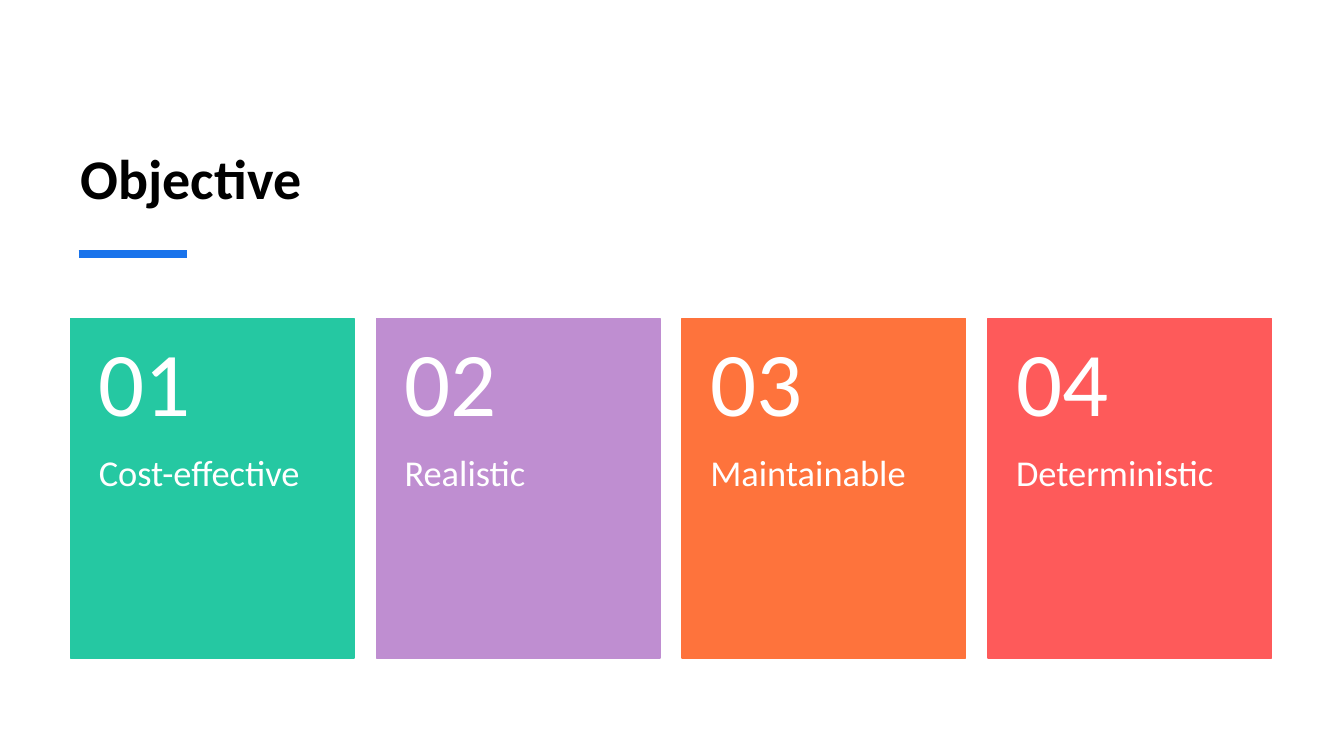
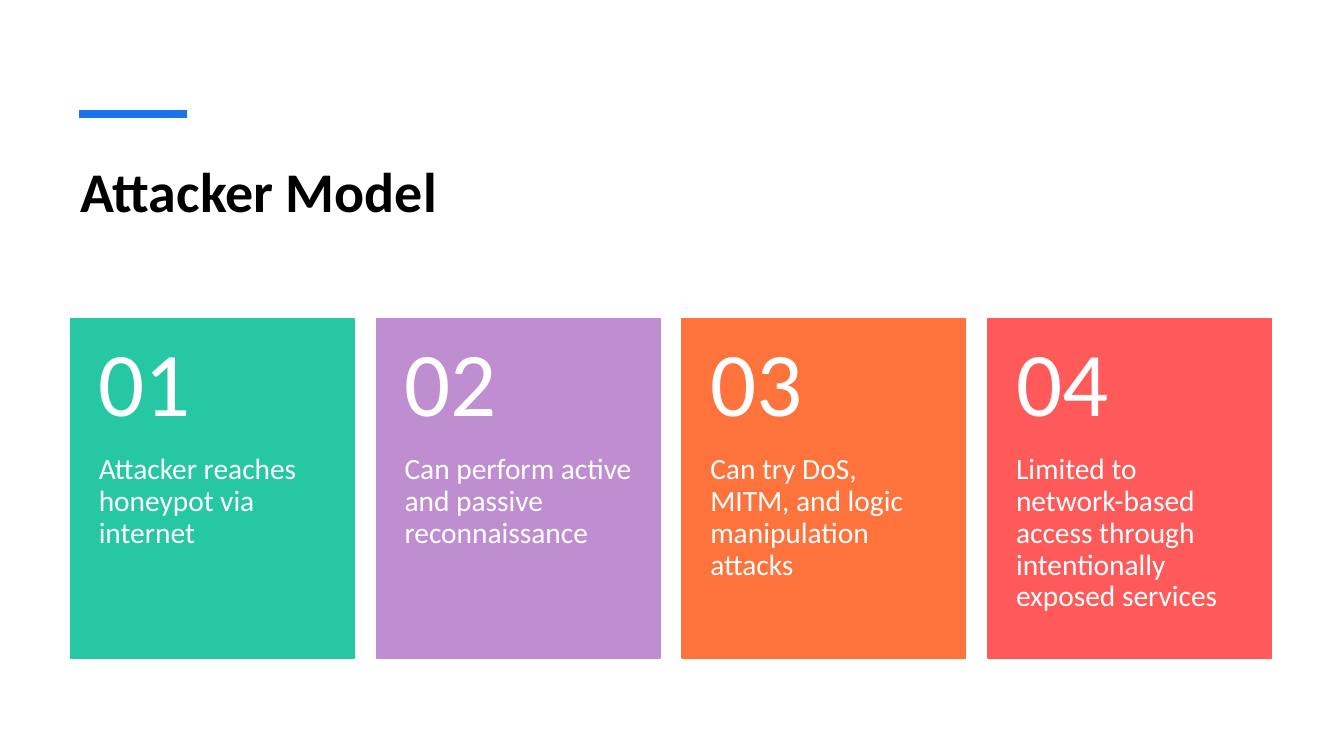
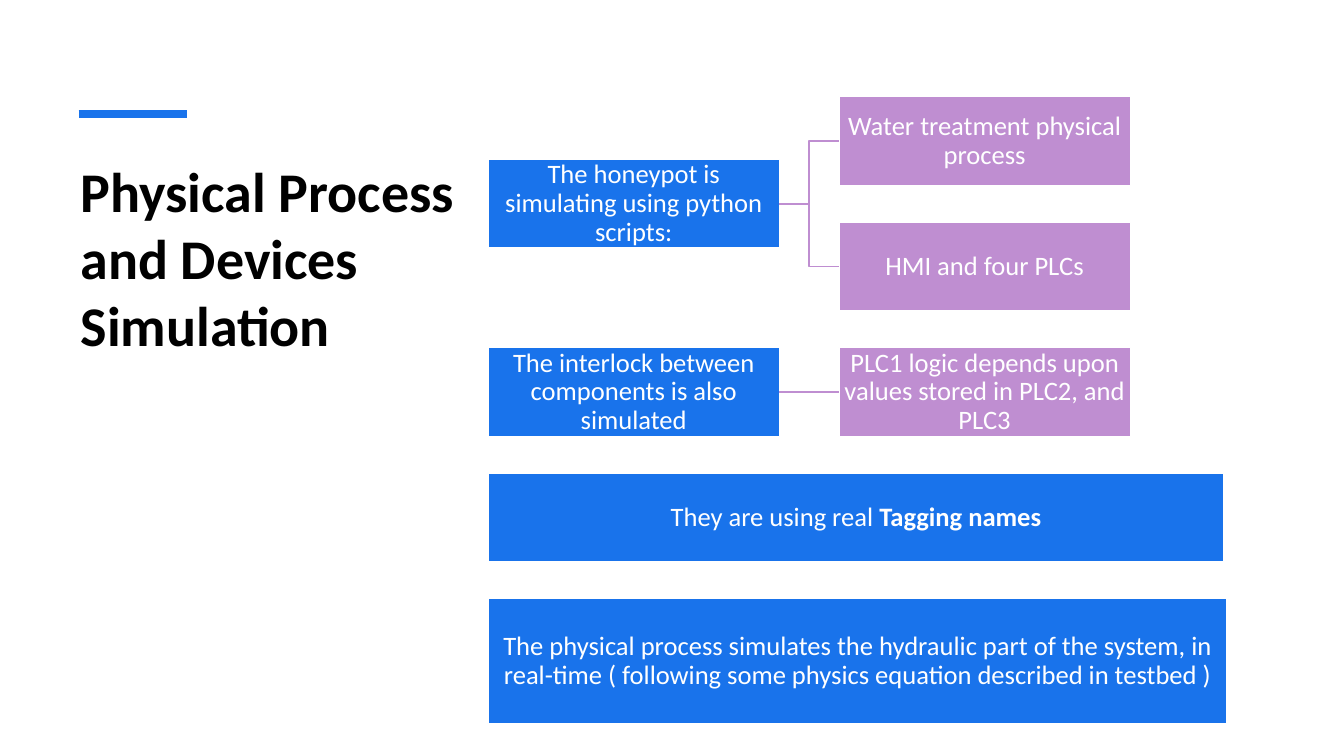
from lxml import etree
from pptx import Presentation
from pptx.dml.color import RGBColor
from pptx.enum.shapes import MSO_CONNECTOR, MSO_SHAPE
from pptx.enum.text import MSO_ANCHOR, MSO_AUTO_SIZE, PP_ALIGN
from pptx.oxml.ns import qn
from pptx.util import Inches, Pt

RECT = MSO_SHAPE.RECTANGLE
STRAIGHT, ELBOW = MSO_CONNECTOR.STRAIGHT, MSO_CONNECTOR.ELBOW
TOP, MIDDLE, BOTTOM = MSO_ANCHOR.TOP, MSO_ANCHOR.MIDDLE, MSO_ANCHOR.BOTTOM
LEFT, CENTER = PP_ALIGN.LEFT, PP_ALIGN.CENTER
NO_FIT = MSO_AUTO_SIZE.NONE
LEFT_SITE, RIGHT_SITE = 1, 3
TITLE_ONLY = 5

FONT = "Calibri"
BLACK, WHITE, BLUE, GREEN = "000000", "FFFFFF", "1973EB", "25C8A2"
PURPLE, ORANGE, RED = "BF8ED1", "FE733C", "FE5A5A"
CARD_COLORS = [GREEN, PURPLE, ORANGE, RED]
MARGIN, CONTENT_W = 0.7, 11.91
CARDS_BOX = (MARGIN, 3.16, CONTENT_W, 3.37)
TREE_BOX = (4.84, 0.96, 7.33, 6.22)


def rgb(color):
    return RGBColor.from_string(color)


def inches(*lengths):
    return [Inches(v) for v in lengths]


def write(sp, runs, size, color=WHITE, bold=False, align=LEFT, anchor=TOP,
          insets=(0.1, 0.05, 0.1, 0.05), spacing=1.0):
    """Fill a shape with one paragraph of (text, bold) runs or a plain string."""
    tf = sp.text_frame
    tf.word_wrap = True
    tf.auto_size = NO_FIT
    tf.vertical_anchor = anchor
    tf.margin_left, tf.margin_top, tf.margin_right, tf.margin_bottom = inches(*insets)
    p = tf.paragraphs[0]
    p.alignment, p.line_spacing = align, spacing
    p.font.name, p.font.size = FONT, Pt(size)
    p.font.bold, p.font.color.rgb = bold, rgb(color)
    if isinstance(runs, str):
        runs = [(runs, bold)]
    for text, run_bold in runs:
        r = p.add_run()
        r.text = text
        if run_bold != bold:
            r.font.bold = run_bold


def add_rect(s, box, fill, line):
    sp = s.shapes.add_shape(RECT, *inches(*box))
    sp.shadow.inherit = False
    sp.fill.solid()
    sp.fill.fore_color.rgb = rgb(fill)
    sp.line.color.rgb = rgb(line)
    sp.line.width = Pt(1)
    return sp


def add_line(s, kind, ends, color, width):
    line = s.shapes.add_connector(kind, *inches(*ends))
    line.line.color.rgb = rgb(color)
    line.line.width = Pt(width)
    etree.SubElement(line._element.spPr, qn("a:effectLst"))
    return line


def add_titled_slide(prs, title, box, accent_y, anchor=TOP):
    s = prs.slides.add_slide(prs.slide_layouts[TITLE_ONLY])
    sp = s.shapes.title
    sp.left, sp.top, sp.width, sp.height = inches(*box)
    write(sp, title, 40, BLACK, bold=True, anchor=anchor)
    add_line(s, STRAIGHT, (0.78, accent_y, 1.85, accent_y), BLUE, 6)
    return s


def add_cards(s, box, labels, size):
    """Lay out numbered cards in equal columns."""
    x, y, w, h = box
    gap, number_h, pad = 0.22, 1.35, 0.28
    card_w = (w - gap * (len(labels) - 1)) / len(labels)
    for i, (label, color) in enumerate(zip(labels, CARD_COLORS)):
        card_x = x + i * (card_w + gap)
        add_rect(s, (card_x, y, card_w, h), color, color)
        label_box = s.shapes.add_textbox(
            *inches(card_x, y + number_h, card_w, h - number_h))
        write(label_box, label, size, insets=(pad, 0, pad, 0.36), spacing=0.9)
        number_box = s.shapes.add_textbox(*inches(card_x, y, card_w, number_h))
        write(number_box, f"{i + 1:02}", 65, anchor=MIDDLE,
              insets=(pad, 0.18, pad, 0.18), spacing=0.9)


def add_tree(s, box, branches, statements):
    """Stack branches (parent, children), then full-width statements."""
    x, y, w, h = box
    node_w, node_h, node_gap, last_h = 2.89, 0.88, 0.59, 1.24
    rows = sum(len(children) for _, children in branches) + len(statements)
    step = (h - last_h) / (rows - 1)

    def add_node(runs, node_x, row, fill, width=node_w, height=node_h):
        sp = add_rect(s, (node_x, y + row * step, width, height), fill, WHITE)
        write(sp, runs, 19, align=CENTER, anchor=MIDDLE, insets=(0.01,) * 4, spacing=0.9)
        return sp

    row = 0
    for parent, children in branches:
        root = add_node(parent, x, row + (len(children) - 1) / 2, BLUE)
        kind = ELBOW if len(children) > 1 else STRAIGHT
        for child in children:
            leaf = add_node(child, x + node_w + node_gap, row, PURPLE)
            link = add_line(s, kind, (0, 0, 0, 0), PURPLE, 1)
            link.begin_connect(root, RIGHT_SITE)
            link.end_connect(leaf, LEFT_SITE)
            row += 1
    for runs in statements:
        is_last = row == rows - 1
        add_node(runs, x, row, BLUE, w if is_last else w - 0.03,
                 last_h if is_last else node_h)
        row += 1


def main():
    prs = Presentation()
    prs.slide_width, prs.slide_height = inches(13.33, 7.5)

    s = add_titled_slide(prs, "Objective", (MARGIN, 0.62, CONTENT_W, 1.52), 2.52, BOTTOM)
    add_cards(s, CARDS_BOX,
              ["Cost-effective", "Realistic", "Maintainable", "Deterministic"], 26)

    s = add_titled_slide(prs, "Attacker Model", (MARGIN, 1.5, CONTENT_W, 1.2), 1.13)
    add_cards(s, CARDS_BOX, [
        "Attacker reaches honeypot via internet",
        "Can perform active and passive reconnaissance",
        "Can try DoS, MITM, and logic manipulation attacks",
        "Limited to network-based access through intentionally exposed services",
    ], 21)

    s = add_titled_slide(prs, "Physical Process and Devices Simulation",
                         (MARGIN, 1.5, 4.02, 4.29), 1.13)
    add_tree(s, TREE_BOX, [
        ("The honeypot is simulating using python scripts:",
         ["Water treatment physical process", "HMI and four PLCs"]),
        ("The interlock between components is also simulated",
         ["PLC1 logic depends upon values stored in PLC2, and PLC3"]),
    ], [
        [("They are using real ", False), ("Tagging names", True)],
        "The physical process simulates the hydraulic part of the system, in real-time "
        "( following some physics equation described in testbed )",
    ])

    prs.save("out.pptx")


if __name__ == "__main__":
    main()
